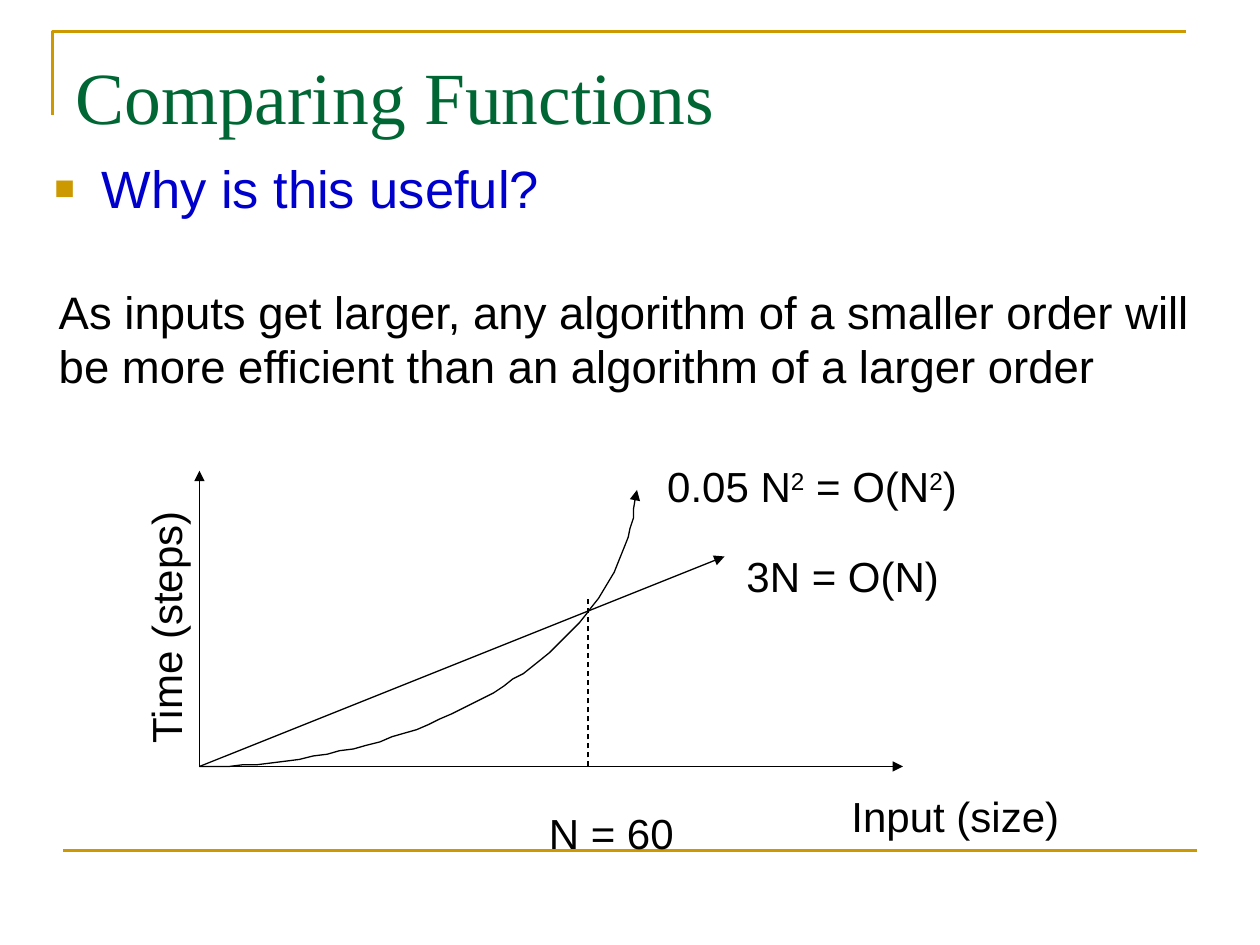
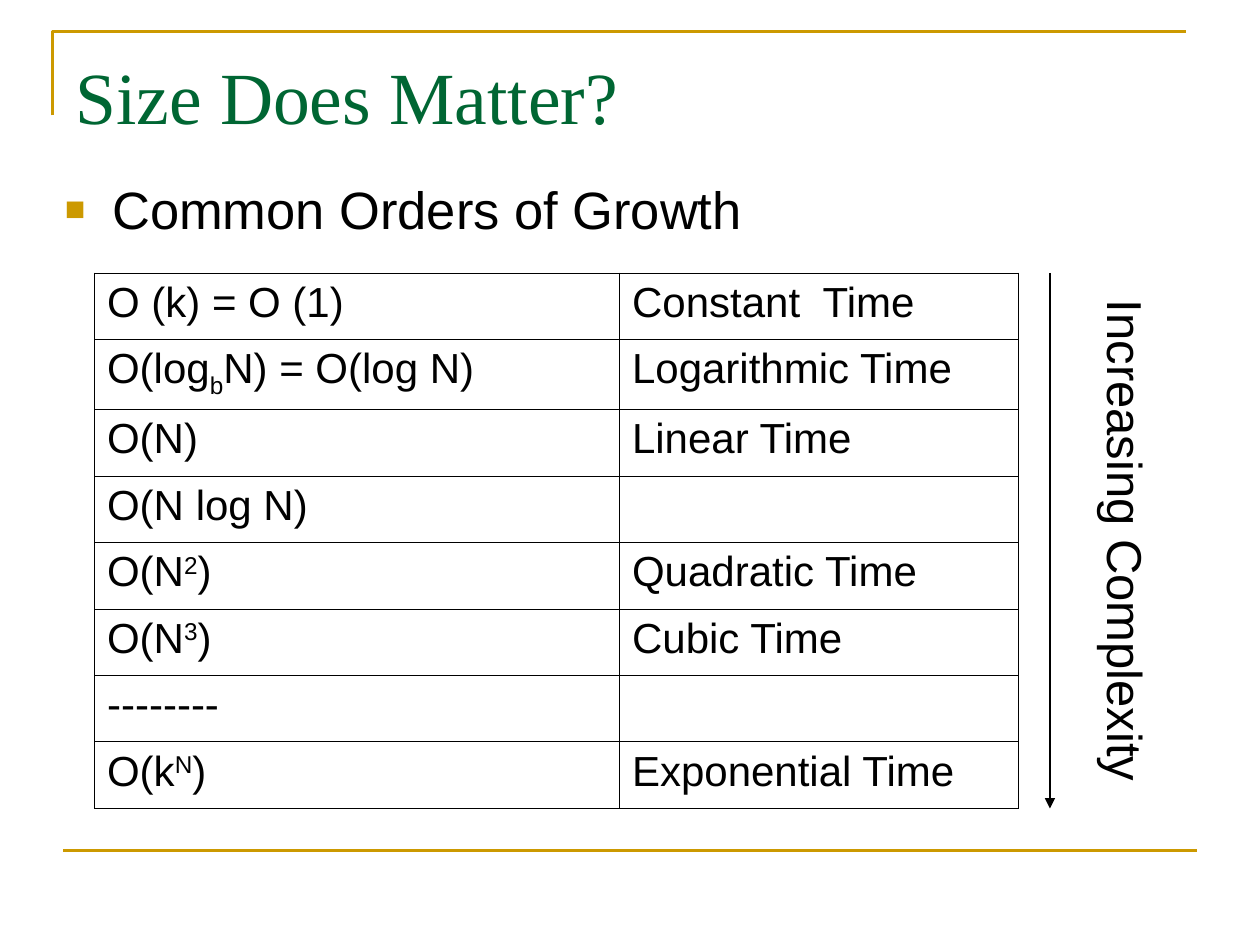
from lxml import etree
from pptx import Presentation
from pptx.dml.color import RGBColor
from pptx.enum.dml import MSO_LINE
from pptx.enum.shapes import MSO_CONNECTOR
from pptx.oxml.ns import qn
from pptx.util import Pt

STRAIGHT = MSO_CONNECTOR.STRAIGHT
DASH = MSO_LINE.DASH
GOLD, GREEN, BLUE, BLACK, WHITE = "CC9900", "006633", "0000CC", "000000", "FFFFFF"
SANS, SERIF = "Arial", "Times New Roman"
SUPER, SUB = 30, -25


def rgb(value):
    return RGBColor.from_string(value)


def child(parent, tag, **attrs):
    return etree.SubElement(parent, qn(tag), attrs)


def add_runs(p, runs, size, color=BLACK, font=SANS):
    """Add each run: a string, or a (string, baseline percent) pair."""
    for run in runs:
        text, base = run if isinstance(run, tuple) else (run, 0)
        r = p.add_run()
        r.text = text
        r.font.size, r.font.name = Pt(size), font
        r.font.color.rgb = rgb(color)
        if base:
            r._r.get_or_add_rPr().set("baseline", str(base * 1000))


def add_text(s, box, lines, size, color=BLACK, font=SANS, wrap=False, rotation=0):
    tb = s.shapes.add_textbox(*map(Pt, box))
    tb.rotation = rotation
    tf = tb.text_frame
    tf.word_wrap = wrap
    tf.margin_top = Pt(5.5)
    for i, runs in enumerate(lines):
        p = tf.add_paragraph() if i else tf.paragraphs[0]
        p.line_spacing = Pt(round(size * 1.19, 1))
        add_runs(p, runs, size, color, font)
    return tb


def style_line(shape, color, width, arrow=False):
    shape.line.color.rgb = rgb(color)
    shape.line.width = Pt(width)
    if arrow:
        child(shape.line._get_or_add_ln(), "a:tailEnd", type="triangle")


def add_line(s, start, end, color=BLACK, width=0.75, arrow=False, dash=None):
    line = s.shapes.add_connector(STRAIGHT, *map(Pt, (*start, *end)))
    style_line(line, color, width)
    if dash:
        line.line.dash_style = dash
    if arrow:
        child(line.line._get_or_add_ln(), "a:tailEnd", type="triangle")
    child(line._element.spPr, "a:effectLst")


def add_path(s, points, color, width, arrow=False):
    """Draw an open, unfilled outline through the points."""
    builder = s.shapes.build_freeform(*points[0], scale=Pt(1))
    builder.add_line_segments(points[1:], close=False)
    shape = builder.convert_to_shape()
    shape.fill.background()
    shape.shadow.inherit = False
    style_line(shape, color, width, arrow)


def add_frame(s, title):
    add_path(s, [(30, 66), (30, 18), (678, 18)], GOLD, 1.5)
    add_line(s, (36, 486), (684, 486), GOLD, 1.5)
    add_text(s, (36, 24, 648, 88), [[title]], 42, GREEN, SERIF, wrap=True)


def add_bullet(s, box, text, color=BLACK):
    p = add_text(s, box, [[text]], 30, color, wrap=True).text_frame.paragraphs[0]
    pPr = p._p.get_or_add_pPr()
    pPr.set("marL", str(Pt(27)))
    pPr.set("indent", str(-Pt(27)))
    child(child(pPr, "a:buClr"), "a:srgbClr", val=GOLD)
    child(pPr, "a:buSzPct", val="65000")
    child(pPr, "a:buFont", typeface=SANS)
    child(pPr, "a:buChar", char="■")


def bezier(p0, p1, p2, p3, steps=48):
    points = []
    for i in range(steps + 1):
        t = i / steps
        u = 1 - t
        points.append(tuple(u**3 * a + 3 * u * u * t * b + 3 * u * t * t * c + t**3 * d
                            for a, b, c, d in zip(p0, p1, p2, p3)))
    return points


def add_growth_plot(s, x, y):
    """Draw the axes, both growth curves and their labels from the origin (x, y)."""
    def at(dx, dy):
        return x + dx, y - dy

    for tip in (at(0, 169), at(402, 0), at(300, 120)):
        add_line(s, (x, y), tip, arrow=True)
    add_path(s, bezier((x, y), at(135, 0), at(245.5, 70), at(249.5, 158)),
             BLACK, 0.75, arrow=True)
    add_line(s, at(222, 0), at(222, 96.5), dash=DASH)

    labels = [
        (-95, 98, 147.6, ["Time (steps)"], 270),
        (365.5, -8.5, 133, ["Input (size)"], 0),
        (305.5, 129, 124.6, ["3N = O(N)"], 0),
        (260.2, 180, 180, ["0.05 N", ("2", SUPER), " = O(N", ("2", SUPER), ")"], 0),
        (192.5, -18, 85.7, ["N = 60"], 0),
    ]
    for dx, dy, width, runs, rotation in labels:
        add_text(s, (*at(dx, dy), width, 36), [runs], 24, rotation=rotation)


def set_cell(cell, runs):
    tcPr = cell._tc.get_or_add_tcPr()
    for side in ("a:lnL", "a:lnR", "a:lnT", "a:lnB"):
        ln = child(tcPr, side, w=str(Pt(0.45)))
        child(child(ln, "a:solidFill"), "a:srgbClr", val=BLACK)
    cell.fill.solid()
    cell.fill.fore_color.rgb = rgb(WHITE)
    add_runs(cell.text_frame.paragraphs[0], runs, 24)


def add_orders_table(s, x, y):
    rows = [
        (["O (k) = O (1)"], ["Constant  Time"]),
        (["O(log", ("b", SUB), "N) = O(log N)"], ["Logarithmic Time"]),
        (["O(N)"], ["Linear Time"]),
        (["O(N log N)"], []),
        (["O(N", ("2", SUPER), ")"], ["Quadratic Time"]),
        (["O(N", ("3", SUPER), ")"], ["Cubic Time"]),
        (["--------"], []),
        (["O(k", ("N", SUPER), ")"], ["Exponential Time"]),
    ]
    table = s.shapes.add_table(len(rows), 2, *map(Pt, (x, y, 528, 306))).table
    table.first_row = table.horz_banding = False
    for column, width in zip(table.columns, (300, 228)):
        column.width = Pt(width)
    for i, row in enumerate(rows):
        table.rows[i].height = Pt(40 if i == 1 else 38)
        for j, runs in enumerate(row):
            set_cell(table.cell(i, j), runs)


def comparing_slide(s):
    add_frame(s, "Comparing Functions")
    add_bullet(s, (24, 84, 672, 72), "Why is this useful?", BLUE)
    add_growth_plot(s, 114, 438)
    add_text(s, (26.5, 157, 662.5, 70), [
        ["As inputs get larger, any algorithm of a smaller order will"],
        ["be more efficient than an algorithm of a larger order"],
    ], 26)


def orders_slide(s):
    add_frame(s, "Size Does Matter?")
    add_bullet(s, (30, 96, 642, 66), "Common Orders of Growth")
    add_orders_table(s, 54, 156)
    add_line(s, (600, 156), (600, 462), arrow=True)
    add_text(s, (500.5, 288.5, 289.5, 41), [["Increasing Complexity"]], 28, rotation=90)


def main():
    prs = Presentation()
    prs.slide_width, prs.slide_height = Pt(720), Pt(540)
    for build in (comparing_slide, orders_slide):
        build(prs.slides.add_slide(prs.slide_layouts[6]))
    prs.save("out.pptx")


if __name__ == "__main__":
    main()
